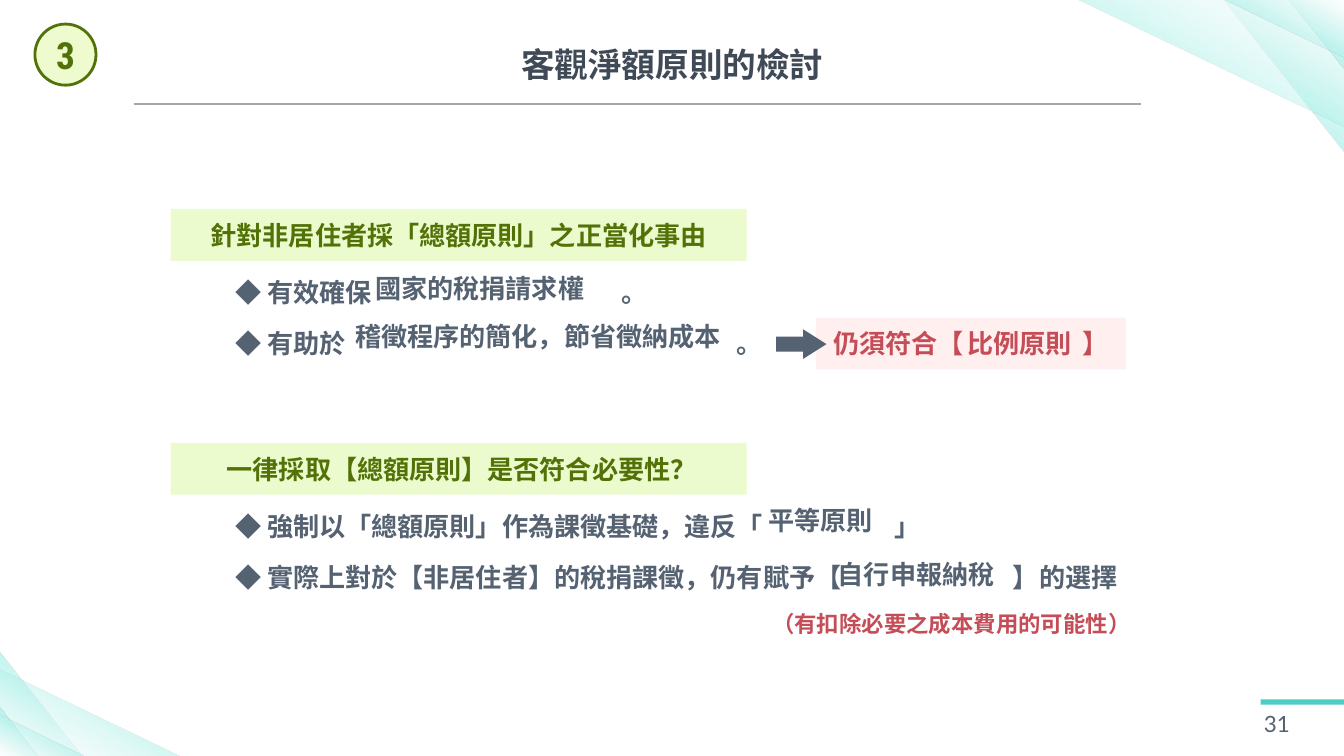
from lxml import etree
from pptx import Presentation
from pptx.dml.color import RGBColor
from pptx.enum.shapes import MSO_CONNECTOR as Link, MSO_SHAPE as Form
from pptx.enum.text import MSO_ANCHOR as Anchor, MSO_AUTO_SIZE as Fit, PP_ALIGN as Align
from pptx.oxml import parse_xml
from pptx.oxml.ns import nsdecls, qn
from pptx.util import Cm, Pt

WIDE, HIGH = 50.8, 28.58
FONT = "Roboto Condensed"
SLATE, GREEN, RED = "556272", "527208", "C54D57"
LIME, PINK, TEAL = "DBF89D", "FFE1E1", "4ECDC4"
FADE = [(0, "97F0E8", 100), (50, "A6F0E8", 44), (100, "E0F9F6", 0)]
TAB = "\t"


def color(code):
    return RGBColor.from_string(code)


class Page:
    def __init__(self, deck):
        self.slide = deck.slides.add_slide(deck.slide_layouts[5])
        self.shapes = self.slide.shapes

    def fill_text(self, frame, runs, hue, size=28, font=FONT, bold=True,
                  align=Align.LEFT, anchor=Anchor.TOP, wrap=True, stop=None):
        frame.word_wrap = wrap
        frame.auto_size = Fit.NONE
        frame.vertical_anchor = anchor
        para = frame.paragraphs[0]
        para.alignment = align
        if stop:
            tabs = etree.SubElement(para._p.get_or_add_pPr(), qn("a:tabLst"))
            etree.SubElement(tabs, qn("a:tab"), pos=str(Cm(stop)), algn="l")
        for text, under in runs:
            run = para.add_run()
            run.text = text
            face = run.font
            face.name, face.size, face.bold = font, Pt(size), bold
            face.color.rgb = color(hue)
            if under:
                face.underline = True

    def title(self, text, x, y, w, h):
        box = self.shapes.title
        box.left, box.top, box.width, box.height = Cm(x), Cm(y), Cm(w), Cm(h)
        self.fill_text(box.text_frame, [(text, False)], "404A56", 36, "Arial",
                       align=Align.CENTER, wrap=False)

    def text(self, runs, x, y, w, h=1.45, hue=SLATE, **style):
        if isinstance(runs, str):
            runs = [(runs, False)]
        box = self.shapes.add_textbox(Cm(x), Cm(y), Cm(w), Cm(h))
        self.fill_text(box.text_frame, runs, hue, **style)

    def shape(self, form, x, y, w, h, fill=None, alpha=None):
        item = self.shapes.add_shape(form, Cm(x), Cm(y), Cm(w), Cm(h))
        item.shadow.inherit = False
        item.line.fill.background()
        if fill:
            item.fill.solid()
            item.fill.fore_color.rgb = color(fill)
        if alpha:
            tint = item._element.spPr.find(qn("a:solidFill"))[0]
            etree.SubElement(tint, qn("a:alpha"), val=str(alpha * 1000))
        return item

    def banner(self, text, y):
        bar = self.shape(Form.RECTANGLE, 6.45, y, 21.77, 1.96, LIME, 50)
        self.fill_text(bar.text_frame, [(text, False)], GREEN,
                       align=Align.CENTER, anchor=Anchor.MIDDLE)

    def badge(self, text, x, y, size):
        disc = self.shape(Form.OVAL, x, y, size, size, "EDFBCE")
        disc.line.color.rgb = color(GREEN)
        disc.line.width = Pt(3)
        frame = disc.text_frame
        frame.margin_left = frame.margin_right = 0
        frame.margin_top = frame.margin_bottom = 0
        self.fill_text(frame, [(text, False)], GREEN, 40,
                       align=Align.CENTER, anchor=Anchor.MIDDLE)

    def shard(self, x, y, w, h, turn):
        item = self.shape(Form.RIGHT_TRIANGLE, x, y, w, h)
        item.rotation = turn
        stops = "".join(
            f'<a:gs pos="{pos * 1000}"><a:srgbClr val="{code}">'
            f'<a:alpha val="{alpha * 1000}"/></a:srgbClr></a:gs>'
            for pos, code, alpha in FADE)
        item.fill.background()
        props = item._element.spPr
        props.replace(props.find(qn("a:noFill")), parse_xml(
            f'<a:gradFill {nsdecls("a")} rotWithShape="1"><a:gsLst>{stops}'
            '</a:gsLst><a:lin ang="7200000" scaled="0"/></a:gradFill>'))

    def rule(self, x, y, end):
        line = self.shapes.add_connector(Link.STRAIGHT, Cm(x), Cm(y), Cm(end), Cm(y))
        line.line.color.rgb = color("A6A6A6")
        line.line.width = Pt(2.25)
        etree.SubElement(line._element.spPr, qn("a:effectLst"))


def main():
    deck = Presentation()
    deck.slide_width, deck.slide_height = Cm(WIDE), Cm(HIGH)
    page = Page(deck)

    page.shape(Form.RECTANGLE, 47.65, 26.44, 3.15, 0.2, TEAL)
    page.text("31", 47.52, 26.67, 3.28, 1.35, size=24, font="Lato",
              bold=False, anchor=Anchor.MIDDLE)

    page.banner("針對非居住者採「總額原則」之正當化事由", 7.9)
    page.banner(" 一律採取【總額原則】是否符合必要性？", 16.74)

    points = [
        ("◆ 有效確保", True, "。", 10.31, 19.58, 14.59),
        ("◆ 有助於", True, " 。", 12.24, 19.58, 18.74),
        ("◆ 強制以「總額原則」作為課徵基礎，違反「 ", True, " 」", 19.18, 27.3, 24.68),
        ("◆ 實際上對於【非居住者】的稅捐課徵，仍有賦予【", False, "】的選擇",
         21.11, 34.57, 29.4),
    ]
    for head, under, tail, y, w, stop in points:
        page.text([(head, False), (TAB, under), (tail, False)], 8.64, y, w, stop=stop)

    page.shape(Form.RECTANGLE, 30.84, 12.01, 11.73, 1.96, PINK, 50)
    page.text([("仍須符合【", False), (TAB, True), ("】", False)],
              31.24, 12.27, 11.33, hue=RED, stop=9.41)
    arrow = page.shape(Form.RIGHT_ARROW, 29.34, 12.45, 1.9, 1.12, SLATE)
    arrow.adjustments[0], arrow.adjustments[1] = 0.5, 0.79

    page.badge("3", 1.32, 0.91, 2.31)

    for w, h in [(4.57, 5.77), (10.06, 4.78), (2.08, 2.62), (4.57, 2.18)]:
        page.shard(WIDE - w, 0, w, h, 180)
    for w, h in [(3.12, 3.94), (6.88, 3.28), (1.47, 1.88), (3.25, 1.55)]:
        page.shard(0, HIGH - h, w, h, 0)

    page.title("客觀淨額原則的檢討", 19.38, 1.55, 12.07, 1.8)
    page.rule(5.05, 3.94, 43.13)

    answers = [
        ("國家的稅捐請求權", 13.94, 10.19, 8.92, SLATE),
        ("稽徵程序的簡化，節省徵納成本", 13.18, 11.99, 14.88, SLATE),
        ("比例原則", 36.32, 12.24, 5.08, RED),
        ("平等原則", 28.8, 18.95, 4.88, SLATE),
        ("自行申報納稅", 31.42, 20.98, 7.26, SLATE),
    ]
    for text, x, y, w, hue in answers:
        page.text(text, x, y, w, hue=hue)
    page.text("（有扣除必要之成本費用的可能性）", 27.58, 22.94, 16.76, 1.27,
              hue=RED, size=24, align=Align.CENTER)

    deck.save("out.pptx")


if __name__ == "__main__":
    main()
